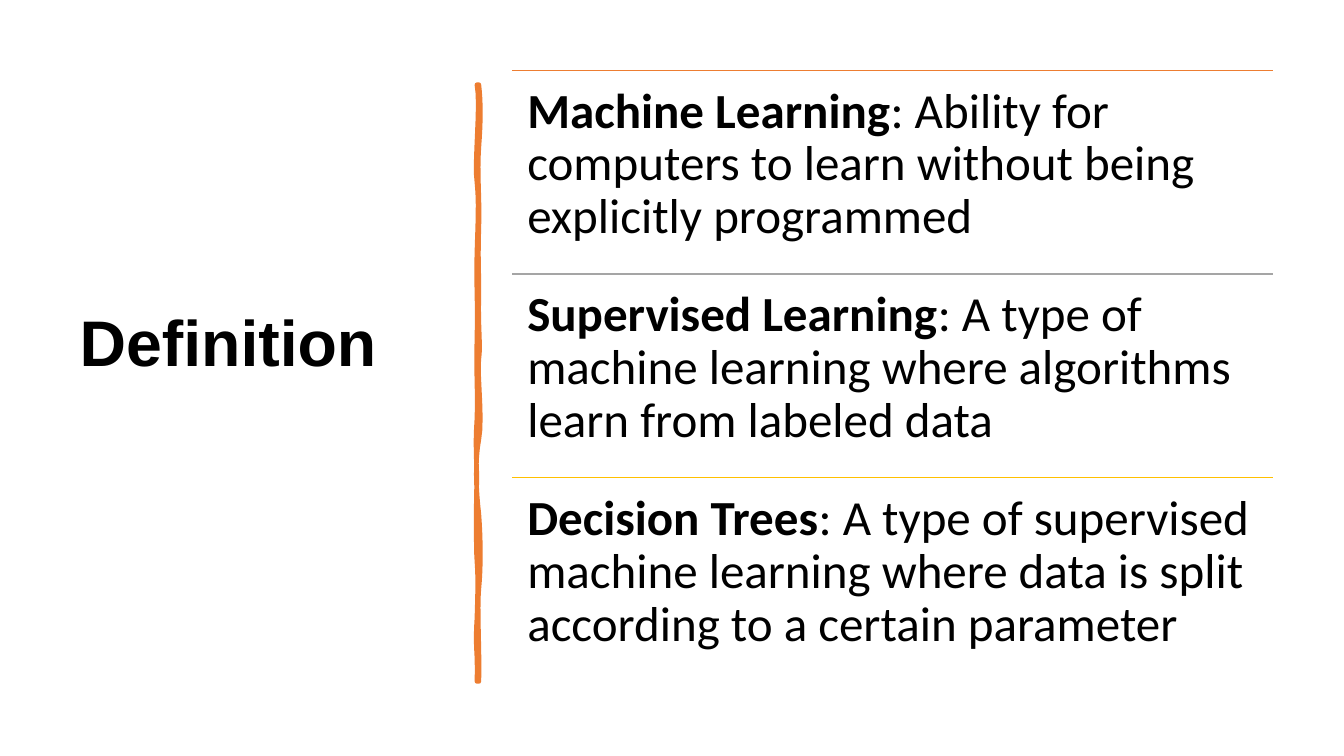
import pptx
import pptx.util
import pptx.dml.color
import pptx.enum.shapes
import pptx.enum.text
import pptx.oxml

# Content
TITLE = "Definition"
TERMS = [
    ("Machine Learning",
     ": Ability for computers to learn without being explicitly programmed",
     "orange"),
    ("Supervised Learning",
     ": A type of machine learning where algorithms learn from labeled data",
     "gray"),
    ("Decision Trees",
     ": A type of supervised machine learning where data is split "
     "according to a certain parameter",
     "gold"),
]
COLORS = {"orange": "ED7D31", "gray": "A5A5A5", "gold": "FFC000",
          "black": "000000"}

# Brush stroke edges: two control points and the end height of each curve
TOP, END = 0.84, 6.76
RIGHT, LEFT = 4.75, 4.73
DOWN = [
    (4.77, 1.02, 4.77, 1.19, 1.46), (4.73, 1.73, 4.76, 1.95, 2.26),
    (4.74, 2.57, 4.75, 2.62, 2.94), (4.74, 3.25, 4.77, 3.42, 3.56),
    (4.73, 3.70, 4.79, 4.14, 4.36), (4.71, 4.57, 4.72, 4.84, 5.10),
    (4.77, 5.36, 4.77, 5.64, 5.84), (4.73, 6.03, 4.76, 6.50, END),
]
UP = [
    (4.74, 6.46, 4.71, 6.44, 6.13), (4.74, 5.83, 4.74, 5.70, 5.57),
    (4.72, 5.44, 4.72, 4.95, 4.77), (4.73, 4.59, 4.71, 4.45, 4.15),
    (4.74, 3.86, 4.72, 3.73, 3.35), (4.74, 2.98, 4.72, 2.81, 2.50),
    (4.74, 2.18, 4.75, 2.00, 1.81), (4.70, 1.63, 4.77, 1.04, TOP),
]
STEPS = 8

# Grid
WIDE, HIGH = 13.33, 7.5
COL, COL_W = 5.08, 7.55
ROW, ROW_H = 0.7, 2.02
PAD = 0.15
SIZE, HEAD = 35, 46
SPACE = 0.9

inch = pptx.util.Inches
points = pptx.util.Pt


def color(name):
    return pptx.dml.color.RGBColor.from_string(COLORS[name])


def style(run, font, size, bold):
    run.font.name = font
    run.font.size = points(size)
    run.font.bold = bold
    run.font.color.rgb = color("black")


def trace(x, start, curves):
    """Sample a chain of cubic curves whose ends all lie at x."""
    dots = [(x, start)]
    for ax, ay, bx, by, end in curves:
        for step in range(1, STEPS + 1):
            t = step / STEPS
            u = 1 - t
            mix = (u ** 3, 3 * u * u * t, 3 * u * t * t, t ** 3)
            dots.append((sum(m * v for m, v in zip(mix, (x, ax, bx, x))),
                         sum(m * v for m, v in zip(mix, (start, ay, by, end)))))
        start = end
    return dots


def add_title(slide):
    title = slide.shapes.title
    title.left, title.top = inch(0.69), inch(ROW)
    title.width, title.height = inch(3.74), inch(6.11)
    frame = title.text_frame
    frame.text = TITLE
    frame.word_wrap = True
    frame.auto_size = pptx.enum.text.MSO_AUTO_SIZE.NONE
    frame.vertical_anchor = pptx.enum.text.MSO_ANCHOR.MIDDLE
    # The deeper bottom inset lifts the word by half a line
    frame.margin_bottom = inch(0.71)
    para = frame.paragraphs[0]
    para.alignment = pptx.enum.text.PP_ALIGN.LEFT
    para.line_spacing = SPACE
    style(para.runs[0], "Arial", HEAD, True)


def add_brush(slide):
    dots = trace(RIGHT, TOP, DOWN) + trace(LEFT, END, UP)
    dots = [(inch(x), inch(y)) for x, y in dots]
    pen = slide.shapes.build_freeform(*dots[0])
    pen.add_line_segments(dots[1:], close=True)
    brush = pen.convert_to_shape()
    brush.shadow.inherit = False
    brush.fill.solid()
    brush.fill.fore_color.rgb = color("orange")
    brush.line.color.rgb = color("orange")
    brush.line.width = points(3.25)


def add_term(slide, top, term, text, tint):
    # Rule above the row
    rule = slide.shapes.add_connector(
        pptx.enum.shapes.MSO_CONNECTOR.STRAIGHT,
        inch(COL), inch(top), inch(COL + COL_W), inch(top))
    rule.line.color.rgb = color(tint)
    rule.line.width = points(1)
    rule._element.spPr.append(pptx.oxml.parse_xml(
        '<a:effectLst xmlns:a='
        '"http://schemas.openxmlformats.org/drawingml/2006/main"/>'))

    # Term and its meaning
    box = slide.shapes.add_textbox(
        inch(COL), inch(top), inch(COL_W), inch(ROW_H))
    frame = box.text_frame
    frame.word_wrap = True
    frame.margin_left = frame.margin_right = inch(PAD)
    frame.margin_top = frame.margin_bottom = inch(PAD)
    para = frame.paragraphs[0]
    para.line_spacing = SPACE
    for words, bold in ((term, True), (text, False)):
        run = para.add_run()
        run.text = words
        style(run, "Calibri", SIZE, bold)


def main():
    deck = pptx.Presentation()
    deck.slide_width, deck.slide_height = inch(WIDE), inch(HIGH)
    slide = deck.slides.add_slide(deck.slide_layouts.get_by_name("Title Only"))
    add_title(slide)
    add_brush(slide)
    for i, (term, text, tint) in enumerate(TERMS):
        add_term(slide, ROW + i * ROW_H, term, text, tint)
    deck.save("out.pptx")


if __name__ == "__main__":
    main()
